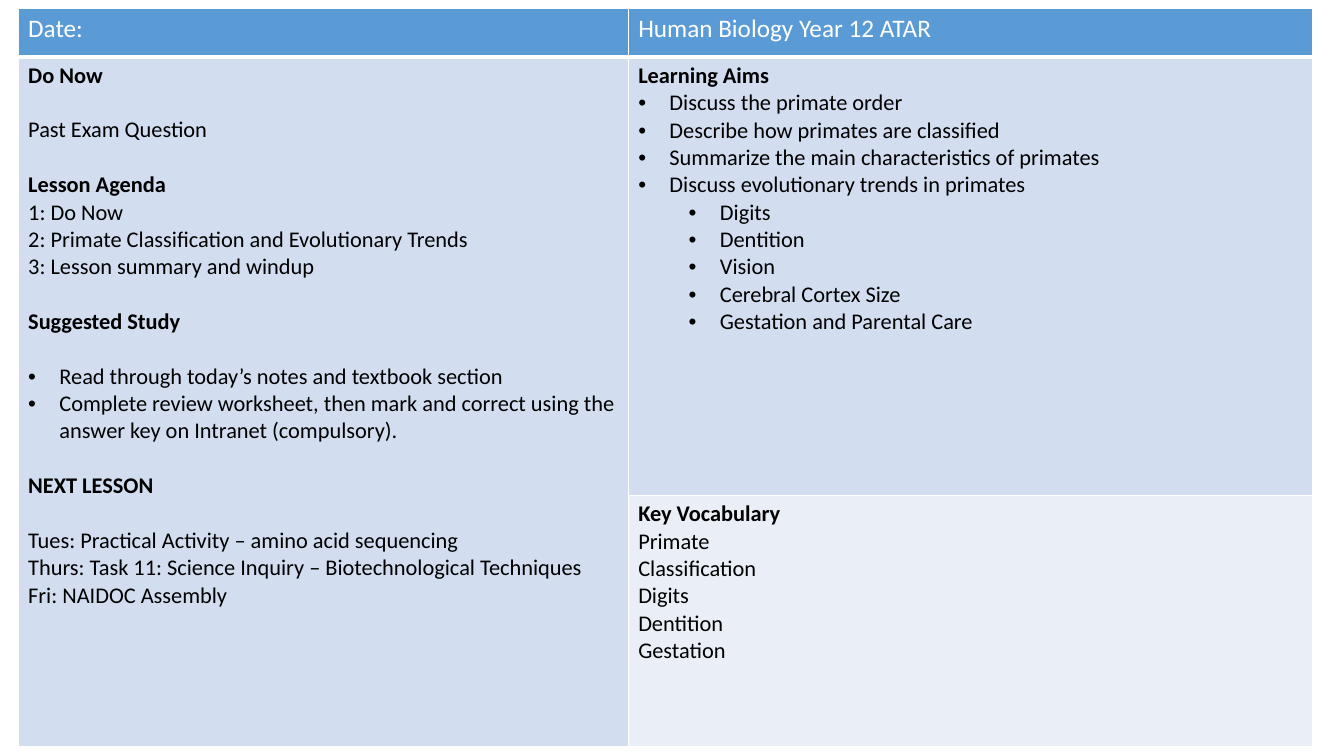
from lxml.etree import SubElement
from pptx import Presentation
from pptx.dml.color import RGBColor
from pptx.oxml import parse_xml
from pptx.oxml.ns import nsdecls, qn
from pptx.util import Inches, Pt

WHITE = RGBColor(0xFF, 0xFF, 0xFF)
BLACK = RGBColor(0x00, 0x00, 0x00)
HEADER_BLUE = RGBColor(0x5B, 0x9B, 0xD5)
PALE_BLUE = RGBColor(0xD2, 0xDE, 0xEF)
PALEST_BLUE = RGBColor(0xEA, 0xEF, 0xF7)

BLANK_LAYOUT = 6
LINE_GAP = 19.5  # one text line, in points
HANG = 0.31  # bullet hanging indent, in inches


def write(paragraph, text, size=16, color=BLACK, bold=False, gap=0, level=None):
    """Fill a paragraph; a level of 0 or more makes it a bullet."""
    if level is not None:
        properties = paragraph._p.get_or_add_pPr()
        properties.set("marL", str(Inches(HANG + level * 0.5)))
        properties.set("indent", str(-Inches(HANG)))
        SubElement(properties, qn("a:buFont")).set("typeface", "Arial")
        SubElement(properties, qn("a:buChar")).set("char", "•")
        paragraph.level = level
    if gap:
        paragraph.space_before = Pt(gap)
    run = paragraph.add_run()
    run.text = text
    run.font.name = "Calibri"
    run.font.size = Pt(size)
    run.font.bold = bold
    run.font.color.rgb = color


def heading(text, gap=0):
    return text, {"bold": True, "gap": gap}


def plain(text, gap=0):
    return text, {"gap": gap}


def bullet(text, level=0, gap=0):
    return text, {"level": level, "gap": gap}


class LessonSlide:
    """Slide measured on a grid of 100 columns by 100 rows."""

    def __init__(self, deck):
        self.column = deck.slide_width / 100
        self.row = deck.slide_height / 100
        self.slide = deck.slides.add_slide(deck.slide_layouts[BLANK_LAYOUT])

    def table(self, left, top, widths, heights):
        frame = self.slide.shapes.add_table(
            len(heights), len(widths),
            int(left * self.column), int(top * self.row),
            int(sum(widths) * self.column), int(sum(heights) * self.row))
        table = frame.table
        table.first_row = table.horz_banding = False
        for column, width in zip(table.columns, widths):
            column.width = int(width * self.column)
        for row, height in zip(table.rows, heights):
            row.height = int(height * self.row)
        return table

    def cell(self, cell, fill, lines=(), bottom=1):
        cell.fill.solid()
        cell.fill.fore_color.rgb = fill
        self.borders(cell, bottom)
        for index, (text, style) in enumerate(lines):
            frame = cell.text_frame
            paragraph = frame.add_paragraph() if index else frame.paragraphs[0]
            write(paragraph, text, **style)

    def borders(self, cell, bottom):
        properties = cell._tc.get_or_add_tcPr()
        for index, side in enumerate("LRTB"):
            width = Pt(bottom if side == "B" else 1)
            properties.insert(index, parse_xml(
                f'<a:ln{side} {nsdecls("a")} w="{width}"><a:solidFill>'
                f'<a:srgbClr val="{WHITE}"/></a:solidFill></a:ln{side}>'))


# Lesson content
HEADERS = ["Date:", "Human Biology Year 12 ATAR"]

LESSON_PLAN = [
    heading("Do Now"),
    plain("Past Exam Question", LINE_GAP),
    heading("Lesson Agenda", LINE_GAP),
    plain("1: Do Now"),
    plain("2: Primate Classification and Evolutionary Trends"),
    plain("3: Lesson summary and windup"),
    heading("Suggested Study", LINE_GAP),
    bullet("Read through today’s notes and textbook section", gap=LINE_GAP),
    bullet("Complete review worksheet, then mark and correct using the "
           "answer key on Intranet (compulsory)."),
    heading("NEXT LESSON", LINE_GAP),
    plain("Tues: Practical Activity – amino acid sequencing", LINE_GAP),
    plain("Thurs: Task 11: Science Inquiry – Biotechnological Techniques"),
    plain("Fri: NAIDOC Assembly"),
]

AIMS = ["Discuss the primate order", "Describe how primates are classified",
        "Summarize the main characteristics of primates",
        "Discuss evolutionary trends in primates"]
TRENDS = ["Digits", "Dentition", "Vision", "Cerebral Cortex Size",
          "Gestation and Parental Care"]
LEARNING_AIMS = [heading("Learning Aims"), *map(bullet, AIMS),
                 *(bullet(trend, level=1) for trend in TRENDS)]

VOCABULARY = ["Primate", "Classification", "Digits", "Dentition", "Gestation"]
KEY_VOCABULARY = [heading("Key Vocabulary"), *map(plain, VOCABULARY)]


def main():
    deck = Presentation()
    deck.slide_width, deck.slide_height = Inches(13.33), Inches(7.5)
    lesson = LessonSlide(deck)
    overview = lesson.table(1.35, 1.13, widths=[45.39, 50.94],
                            heights=[6.4, 58, 33.2])

    # Header row
    for index, title in enumerate(HEADERS):
        lesson.cell(overview.cell(0, index), HEADER_BLUE,
                    [(title, {"size": 18, "color": WHITE})], bottom=3)

    # Lesson plan spans both body rows
    overview.cell(1, 0).merge(overview.cell(2, 0))
    lesson.cell(overview.cell(1, 0), PALE_BLUE, LESSON_PLAN)
    lesson.cell(overview.cell(2, 0), PALE_BLUE)

    # Aims above vocabulary
    lesson.cell(overview.cell(1, 1), PALE_BLUE, LEARNING_AIMS)
    lesson.cell(overview.cell(2, 1), PALEST_BLUE, KEY_VOCABULARY)

    deck.save("out.pptx")


if __name__ == "__main__":
    main()
